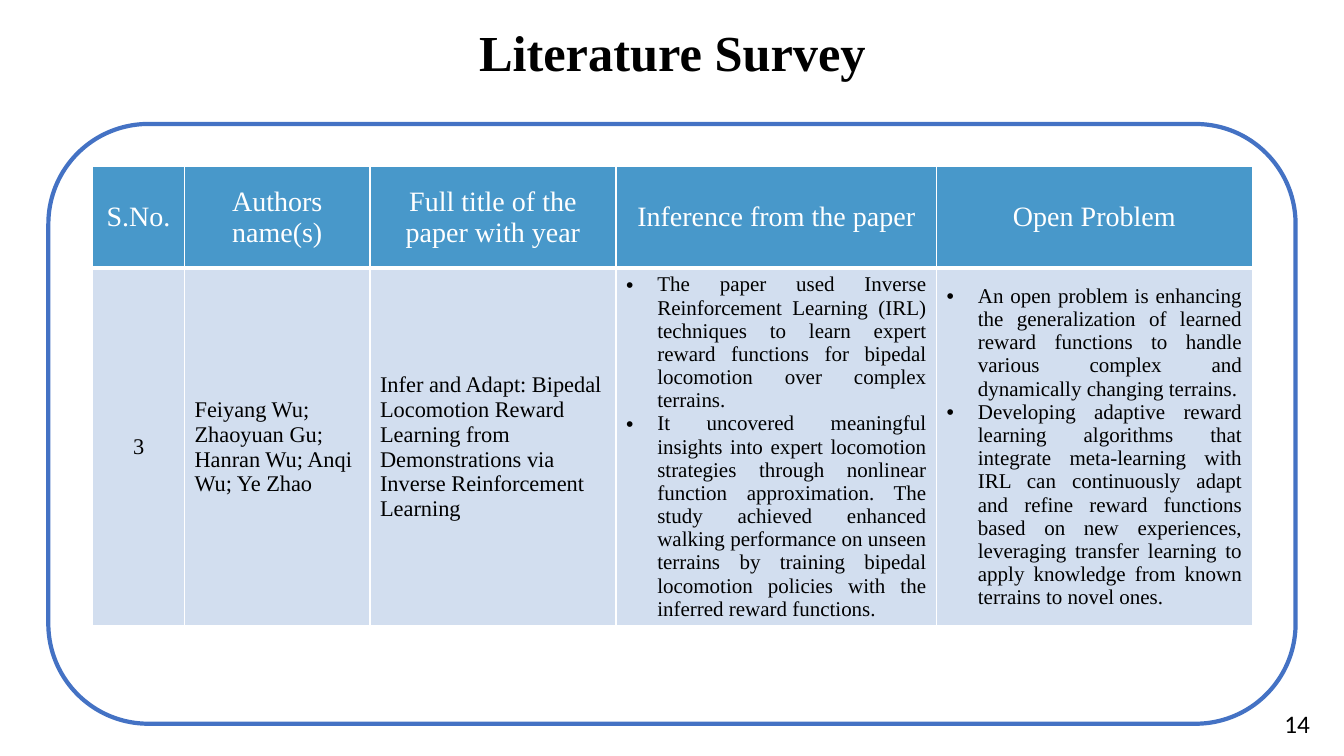
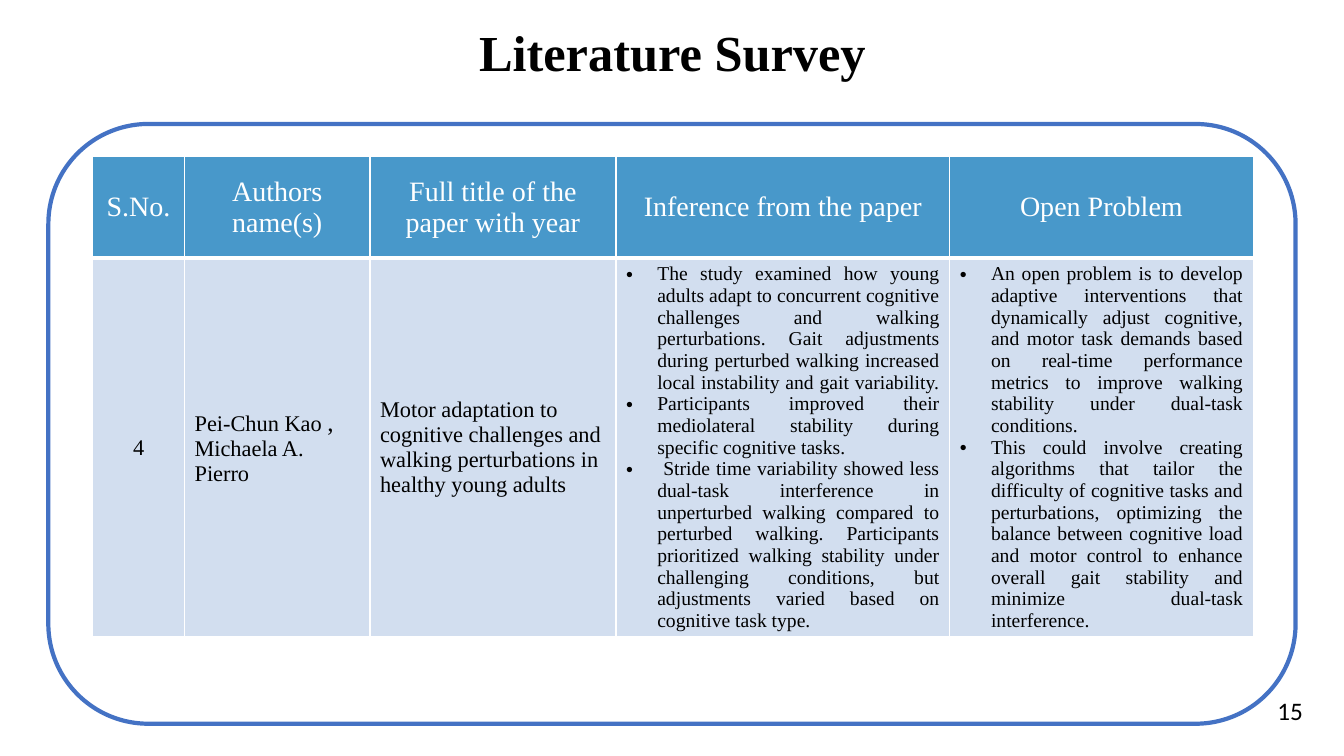
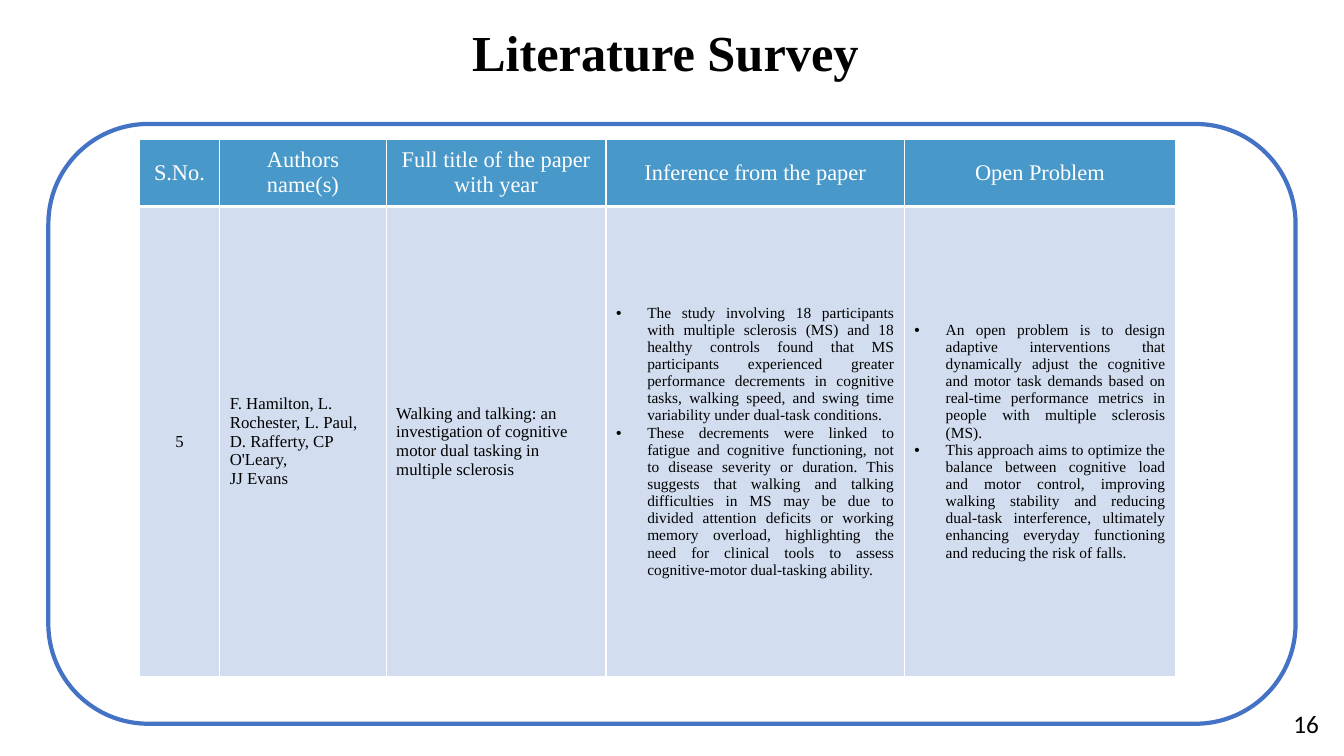
from lxml import etree
from pptx import Presentation
from pptx import util as u
from pptx.dml.color import RGBColor
from pptx.enum import shapes, text
from pptx.oxml.ns import qn

WIDTH, HEIGHT = 13.33, 7.5
COLORS = {"frame": "4472C4", "header": "4898CA", "body": "D2DEEF",
          "white": "FFFFFF", "black": "000000"}
SERIF, SANS = "Times New Roman", "Calibri"
LEFT, CENTER, RIGHT, JUSTIFY = (text.PP_ALIGN.LEFT, text.PP_ALIGN.CENTER,
                                text.PP_ALIGN.RIGHT, text.PP_ALIGN.JUSTIFY)
BULLET_INDENT = 0.31
HEADINGS = ["S.No.", "Authors name(s)", "Full title of the paper with year",
            "Inference from the paper", "Open Problem"]

# Each cell is a list of paragraphs; a paragraph is a string or (text, size) runs.
SURVEYS = [
    {
        "page": "14", "page_at": (12.62, 6.98), "title_left": 0.92,
        "table_at": (0.92, 1.65), "columns": [0.91, 1.84, 2.44, 3.18, 3.13],
        "rows": [1.01, 3.55], "sizes": {"header": 20, "body": 16, "bullets": 15},
        "cells": [
            ["3"],
            ["Feiyang Wu; Zhaoyuan Gu; Hanran Wu; Anqi Wu; Ye Zhao"],
            ["Infer and Adapt: Bipedal Locomotion Reward Learning from "
             "Demonstrations via Inverse Reinforcement Learning"],
            ["The paper used Inverse Reinforcement Learning (IRL) techniques to "
             "learn expert reward functions for bipedal locomotion over complex "
             "terrains. ",
             "It uncovered meaningful insights into expert locomotion strategies "
             "through nonlinear function approximation. The study achieved "
             "enhanced walking performance on unseen terrains by training bipedal "
             "locomotion policies with the inferred reward functions."],
            ["An open problem is enhancing the generalization of learned reward "
             "functions to handle various complex and dynamically changing "
             "terrains.",
             "Developing adaptive reward learning algorithms that integrate "
             "meta-learning with IRL can continuously adapt and refine reward "
             "functions based on new experiences, leveraging transfer learning to "
             "apply knowledge from known terrains to novel ones. "],
        ],
    },
    {
        "page": "15", "page_at": (12.55, 6.85), "title_left": 0.92,
        "table_at": (0.92, 1.55), "columns": [0.91, 1.84, 2.44, 3.31, 3.01],
        "rows": [1.01, 3.76], "sizes": {"header": 20, "body": 16, "bullets": 14},
        "cells": [
            ["4"],
            [[("Pei-Chun Kao ", 16), (", ", 18), ("Michaela A. Pierro ", 16)]],
            ["Motor adaptation to cognitive challenges and walking perturbations "
             "in healthy young adults"],
            ["The study examined how young adults adapt to concurrent cognitive "
             "challenges and walking perturbations. Gait adjustments during "
             "perturbed walking increased local instability and gait variability. ",
             "Participants improved their mediolateral stability during specific "
             "cognitive tasks.",
             " Stride time variability showed less dual-task interference in "
             "unperturbed walking compared to perturbed walking. Participants "
             "prioritized walking stability under challenging conditions, but "
             "adjustments varied based on cognitive task type. "],
            ["An open problem is to develop adaptive interventions that "
             "dynamically adjust cognitive, and motor task demands based on "
             "real-time performance metrics to improve walking stability under "
             "dual-task conditions. ",
             "This could involve creating algorithms that tailor the difficulty "
             "of cognitive tasks and perturbations, optimizing the balance between "
             "cognitive load and motor control to enhance overall gait stability "
             "and minimize dual-task interference."],
        ],
    },
    {
        "page": "16", "page_at": (12.71, 6.98), "title_left": 0.85,
        "table_at": (1.38, 1.38), "columns": [0.8, 1.65, 2.18, 2.96, 2.69],
        "rows": [0.67, 4.66], "sizes": {"header": 16, "body": 12, "bullets": 11},
        "cells": [
            ["5"],
            ["F. Hamilton, L. Rochester, L. Paul, D. Rafferty, CP O'Leary,",
             "JJ Evans"],
            ["Walking and talking: an investigation of cognitive motor dual "
             "tasking in multiple sclerosis"],
            ["The study involving 18 participants with multiple sclerosis (MS) and "
             "18 healthy controls found that MS participants experienced greater "
             "performance decrements in cognitive tasks, walking speed, and swing "
             "time variability under dual-task conditions.",
             "These decrements were linked to fatigue and cognitive functioning, "
             "not to disease severity or duration. This suggests that walking and "
             "talking difficulties in MS may be due to divided attention deficits "
             "or working memory overload, highlighting the need for clinical tools "
             "to assess cognitive-motor dual-tasking ability."],
            ["An open problem is to design adaptive interventions that dynamically "
             "adjust the cognitive and motor task demands based on real-time "
             "performance metrics in people with multiple sclerosis (MS). ",
             "This approach aims to optimize the balance between cognitive load "
             "and motor control, improving walking stability and reducing "
             "dual-task interference, ultimately enhancing everyday functioning "
             "and reducing the risk of falls."],
        ],
    },
]


def rgb(name):
    return RGBColor.from_string(COLORS[name])


def inches(*lengths):
    return [u.Inches(length) for length in lengths]


def style(paragraph, size, color="black", font=SERIF, align=LEFT, bold=False):
    paragraph.alignment = align
    paragraph.font.size = u.Pt(size)
    paragraph.font.name = font
    paragraph.font.bold = bold
    paragraph.font.color.rgb = rgb(color)


def add_bullet(paragraph):
    properties = paragraph._p.get_or_add_pPr()
    indent = u.Inches(BULLET_INDENT)
    properties.set("marL", str(indent))
    properties.set("indent", str(-indent))
    bullet_font = etree.Element(qn("a:buFont"), typeface="Arial")
    bullet = etree.Element(qn("a:buChar"), char="•")
    # Bullet settings come before the default run properties.
    for element in (bullet_font, bullet):
        properties.insert_element_before(element, "a:defRPr")


def set_borders(cell, bottom):
    """Draw white lines round a cell, 1 pt wide except at the bottom."""
    properties = cell._tc.get_or_add_tcPr()
    for side, width in (("L", 1), ("R", 1), ("T", 1), ("B", bottom)):
        line = etree.SubElement(properties, qn(f"a:ln{side}"), w=str(u.Pt(width)))
        fill = etree.SubElement(line, qn("a:solidFill"))
        etree.SubElement(fill, qn("a:srgbClr"), val=COLORS["white"])


def fill_cell(cell, paragraphs, fill, border, size, color, align, bulleted=False):
    set_borders(cell, border)
    cell.fill.solid()
    cell.fill.fore_color.rgb = rgb(fill)
    cell.vertical_anchor = text.MSO_ANCHOR.MIDDLE
    frame = cell.text_frame
    for index, content in enumerate(paragraphs):
        paragraph = frame.add_paragraph() if index else frame.paragraphs[0]
        style(paragraph, size, color, align=align)
        if bulleted:
            add_bullet(paragraph)
        runs = [(content, None)] if isinstance(content, str) else content
        for words, run_size in runs:
            run = paragraph.add_run()
            run.text = words
            if run_size:
                run.font.size = u.Pt(run_size)


def add_frame(slide):
    frame = slide.shapes.add_shape(shapes.MSO_SHAPE.ROUNDED_RECTANGLE,
                                   *inches(0.48, 1.23, 12.37, 5.95))
    frame.shadow.inherit = False
    frame.fill.background()
    frame.line.color.rgb = rgb("frame")
    frame.line.width = u.Pt(3)


def set_title(slide, left):
    title = slide.shapes.title
    title.left, title.top, title.width, title.height = inches(left, 0.15, 11.5, 0.72)
    title.text = "Literature Survey"
    title.text_frame.auto_size = text.MSO_AUTO_SIZE.NONE
    title.text_frame.vertical_anchor = text.MSO_ANCHOR.BOTTOM
    heading = title.text_frame.paragraphs[0]
    heading.line_spacing = 0.9
    style(heading, 36, align=CENTER, bold=True)


def add_survey_table(slide, survey):
    columns, rows, sizes = survey["columns"], survey["rows"], survey["sizes"]
    table = slide.shapes.add_table(
        len(rows), len(columns),
        *inches(*survey["table_at"], sum(columns), sum(rows))).table
    for row, height in zip(table.rows, rows):
        row.height = u.Inches(height)
    aligns = [CENTER, LEFT, LEFT, JUSTIFY, JUSTIFY]
    for index, (width, align) in enumerate(zip(columns, aligns)):
        table.columns[index].width = u.Inches(width)
        fill_cell(table.cell(0, index), [HEADINGS[index]], "header", 3,
                  sizes["header"], "white", CENTER)
        bulleted = align == JUSTIFY
        fill_cell(table.cell(1, index), survey["cells"][index], "body", 1,
                  sizes["bullets" if bulleted else "body"], "black", align, bulleted)


def add_page_number(slide, number, position):
    box = slide.shapes.add_textbox(*inches(*position, 0.47, 0.4))
    box.text_frame.word_wrap = True
    box.text_frame.vertical_anchor = text.MSO_ANCHOR.MIDDLE
    box.text_frame.text = number
    style(box.text_frame.paragraphs[0], 18, font=SANS, align=RIGHT)


def main():
    deck = Presentation()
    deck.slide_width, deck.slide_height = inches(WIDTH, HEIGHT)
    title_only = deck.slide_layouts.get_by_name("Title Only")
    for survey in SURVEYS:
        slide = deck.slides.add_slide(title_only)
        add_frame(slide)
        set_title(slide, survey["title_left"])
        add_survey_table(slide, survey)
        add_page_number(slide, survey["page"], survey["page_at"])
    deck.save("out.pptx")


if __name__ == "__main__":
    main()
